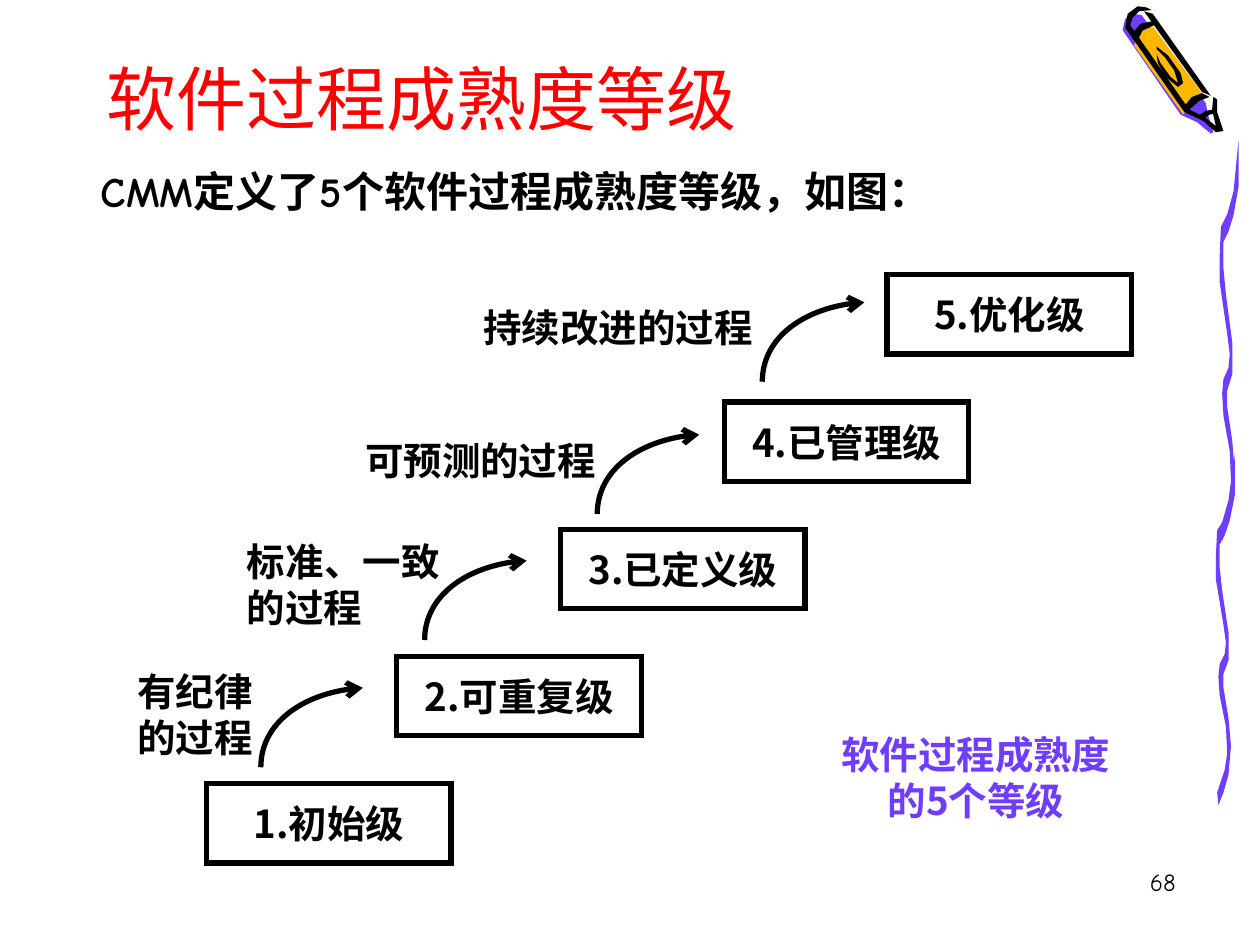
from dataclasses import dataclass

from lxml import etree
from pptx import Presentation
from pptx.dml.color import RGBColor
from pptx.enum import shapes, text
from pptx.oxml.ns import qn
from pptx.util import Pt

PX = 9144  # EMU per px, 100 px to the inch
BLACK, RED, VIOLET, AMBER, PALE = "000000", "FF0000", "703DFF", "FFB800", "F8F8F8"
COMIC, SANS, SERIF = "Comic Neue", "Noto Sans CJK SC", "Times New Roman"
LEFT, CENTER, RIGHT = text.PP_ALIGN.LEFT, text.PP_ALIGN.CENTER, text.PP_ALIGN.RIGHT
JUSTIFY = text.PP_ALIGN.JUSTIFY
TOP, MIDDLE, BOTTOM = text.MSO_ANCHOR.TOP, text.MSO_ANCHOR.MIDDLE, text.MSO_ANCHOR.BOTTOM

Point = tuple[int, int]


@dataclass(frozen=True)
class Style:
    latin: str
    size: int
    color: str = BLACK
    bold: bool = True
    align: int = CENTER
    anchor: int = MIDDLE
    east_asian: str = SANS
    spacing: float = 1.0
    margin_left: int = 10


@dataclass(frozen=True)
class Label:
    words: str
    left: int
    top: int
    width: int
    height: int
    style: Style


@dataclass(frozen=True)
class Level:
    """A step of the staircase, with the process and the arrow that lead up to it."""
    name: str
    left: int
    process: Label | None = None
    arrow_start: Point | None = None


@dataclass(frozen=True)
class CrayonPart:
    name: str
    color: str
    points: list[Point]


TITLE = Style(COMIC, 40, RED, bold=False, align=LEFT, anchor=BOTTOM, east_asian=COMIC)
INTRO = Style(COMIC, 24, align=JUSTIFY, anchor=TOP, east_asian=COMIC, spacing=0.9,
              margin_left=45)
PAGE_NUMBER = Style(COMIC, 14, bold=False, align=RIGHT, anchor=TOP, east_asian=COMIC)
LEVEL_NAME = Style(SANS, 22)
CAPTION = Style(SANS, 22, VIOLET)
PROCESS = Style(SERIF, 22, align=JUSTIFY)
PROCESS_CENTERED = Style(SERIF, 22)

LABELS = [
    Label("软件过程成熟度等级", 75, 33, 850, 83, TITLE),
    Label("CMM定义了5个软件过程成熟度等级，如图：", 35, 131, 851, 110, INTRO),
    Label("软件过程成熟度\n的5个等级", 652, 581, 245, 72, CAPTION),
    Label("68", 735, 683, 208, 50, PAGE_NUMBER),
]

# Levels climb from the bottom step by one equal rise.
BOTTOM_STEP_TOP, STEP_RISE = 622, 101
STEP_WIDTH, STEP_HEIGHT = 194, 63
LEVELS = [
    Level("1.初始级", 164),
    Level("2.可重复级", 315,
          Label("有纪律的过程", 90, 535, 130, 63, PROCESS_CENTERED), (207, 609)),
    Level("3.已定义级", 445,
          Label("标准、一致的过程", 186, 432, 173, 63, PROCESS), (337, 508)),
    Level("4.已管理级", 575,
          Label("可预测的过程", 280, 348, 209, 34, PROCESS), (474, 408)),
    Level("5.优化级", 704,
          Label("持续改进的过程", 374, 243, 246, 34, PROCESS), (605, 303)),
]
ARROW_CURVE = [(0, -33), (36, -61), (81, -63)]  # two controls and the tip, from the start

# One ribbon drawn twice: its edges run down the page, offset from its top left corner.
RIBBON_HEIGHT = 318
RIBBON_LEFT_EDGE = [
    (15, 0), (11, 41), (6, 59), (1, 69), (0, 92), (0, 113), (6, 154), (8, 170), (7, 181),
    (3, 190), (2, 201), (3, 219), (8, 247), (9, 271), (7, 286), (1, 307)]
RIBBON_RIGHT_EDGE = [
    (15, 37), (11, 60), (7, 73), (3, 81), (3, 102), (5, 123), (10, 161), (10, 186),
    (6, 199), (6, 212), (10, 239), (12, 264), (10, 291), (6, 306), (2, 318)]
RIBBONS = [(965, 361, 278), (968, 111, 318)]  # left, top, height

# Crayon parts from back to front, offset from the crayon's corner.
CRAYON_CORNER = (890, 0)
CRAYON = [
    CrayonPart("highlight", PALE, [
        (78, 100), (73, 86), (63, 64), (21, 7), (14, 6), (7, 11), (6, 20), (51, 86),
        (66, 93), (76, 102)]),
    CrayonPart("wax", VIOLET, [
        (16, 12), (67, 82), (69, 92), (73, 105), (71, 106), (60, 97), (47, 91), (1, 24),
        (3, 15), (9, 11)]),
    CrayonPart("wrapper", AMBER, [
        (10, 36), (49, 91), (57, 80), (67, 78), (25, 21), (16, 25)]),
    CrayonPart("tip band", BLACK, [
        (73, 87), (67, 88), (61, 92), (66, 94), (70, 91), (74, 90)]),
    CrayonPart("contour", BLACK, [
        (20, 6), (13, 5), (5, 11), (3, 22), (50, 89), (65, 96), (75, 105), (81, 104),
        (76, 89), (76, 79), (73, 77), (72, 87), (75, 100), (66, 93), (54, 87), (62, 80),
        (70, 77), (64, 74), (56, 77), (51, 83), (7, 20), (9, 14), (14, 9), (24, 8)]),
    CrayonPart("shaded side", BLACK, [(25, 11), (71, 76), (64, 73), (18, 9)]),
    CrayonPart("end band", BLACK, [
        (24, 17), (15, 19), (10, 25), (9, 31), (12, 34), (17, 24), (26, 20)]),
    CrayonPart("wrapper loop", BLACK, [
        (28, 39), (35, 46), (42, 56), (45, 66), (39, 61), (31, 50), (28, 43), (29, 50),
        (35, 61), (45, 69), (49, 66), (47, 58), (37, 44), (28, 37)]),
]


def rgb(value: str) -> RGBColor:
    return RGBColor.from_string(value)


def shift(points: list[Point], origin: Point) -> list[Point]:
    return [(origin[0] + x, origin[1] + y) for x, y in points]


def write(box, words: str, style: Style) -> None:
    frame = box.text_frame
    frame.word_wrap = True
    frame.vertical_anchor = style.anchor
    frame.margin_left, frame.margin_right = style.margin_left * PX, 10 * PX
    frame.margin_top = frame.margin_bottom = 5 * PX
    frame.text = words
    for para in frame.paragraphs:
        para.alignment, para.line_spacing = style.align, style.spacing
        font = para.font
        font.name, font.size, font.bold = style.latin, Pt(style.size), style.bold
        font.color.rgb = rgb(style.color)
        defaults = para._p.pPr.find(qn("a:defRPr"))
        defaults.set("lang", "zh-CN")
        etree.SubElement(defaults, qn("a:ea"), typeface=style.east_asian)


def draw_label(page, label: Label) -> None:
    box = page.shapes.add_textbox(label.left * PX, label.top * PX,
                                  label.width * PX, label.height * PX)
    write(box, label.words, label.style)


def build_path(page, points: list[Point], closed: bool):
    builder = page.shapes.build_freeform(*points[0], scale=PX)
    builder.add_line_segments(points[1:], close=closed)
    shape = builder.convert_to_shape()
    shape.shadow.inherit = False
    return shape


def draw_silhouette(page, points: list[Point], color: str) -> None:
    shape = build_path(page, points, closed=True)
    shape.fill.solid()
    shape.fill.fore_color.rgb = rgb(color)
    shape.line.fill.background()


def draw_ribbon(page, left: int, top: int, height: int) -> None:
    """Go down the left edge and back up the right one, stretched to the height."""
    loop = RIBBON_LEFT_EDGE + RIBBON_RIGHT_EDGE[::-1]
    stretched = [(x, round(y * height / RIBBON_HEIGHT)) for x, y in loop]
    draw_silhouette(page, shift(stretched, (left, top)), VIOLET)


def draw_crayon(page) -> None:
    for part in CRAYON:
        draw_silhouette(page, shift(part.points, CRAYON_CORNER), part.color)


def set_stroke(shape):
    """Leave only a sharp-cornered black line, and return its XML element."""
    shape.fill.background()
    shape.line.color.rgb = rgb(BLACK)
    shape.line.width = Pt(3)
    stroke = shape.line._get_or_add_ln()
    etree.SubElement(stroke, qn("a:miter"), lim="800000")
    return stroke


def draw_step(page, name: str, left: int, top: int) -> None:
    box = page.shapes.add_shape(shapes.MSO_SHAPE.RECTANGLE, left * PX, top * PX,
                                STEP_WIDTH * PX, STEP_HEIGHT * PX)
    box.shadow.inherit = False
    set_stroke(box)
    write(box, name, LEVEL_NAME)


def draw_arrow(page, start: Point) -> None:
    """Draw a Bezier arrow that rises to the right."""
    arrow = build_path(page, [start] + shift(ARROW_CURVE, start), closed=False)
    path = arrow._element.find(".//" + qn("a:path"))
    curve = etree.SubElement(path, qn("a:cubicBezTo"))
    for segment in path.findall(qn("a:lnTo")):
        curve.append(segment[0])
        path.remove(segment)
    etree.SubElement(set_stroke(arrow), qn("a:tailEnd"), type="arrow")


def draw_staircase(page) -> None:
    for rank, level in enumerate(LEVELS):
        draw_step(page, level.name, level.left, BOTTOM_STEP_TOP - rank * STEP_RISE)
        if level.process and level.arrow_start:
            draw_label(page, level.process)
            draw_arrow(page, level.arrow_start)


def main() -> None:
    deck = Presentation()
    deck.slide_width, deck.slide_height = 1000 * PX, 750 * PX
    page = deck.slides.add_slide(deck.slide_layouts[6])
    for ribbon in RIBBONS:
        draw_ribbon(page, *ribbon)
    draw_crayon(page)
    draw_staircase(page)
    for label in LABELS:
        draw_label(page, label)
    deck.save("out.pptx")


if __name__ == "__main__":
    main()
